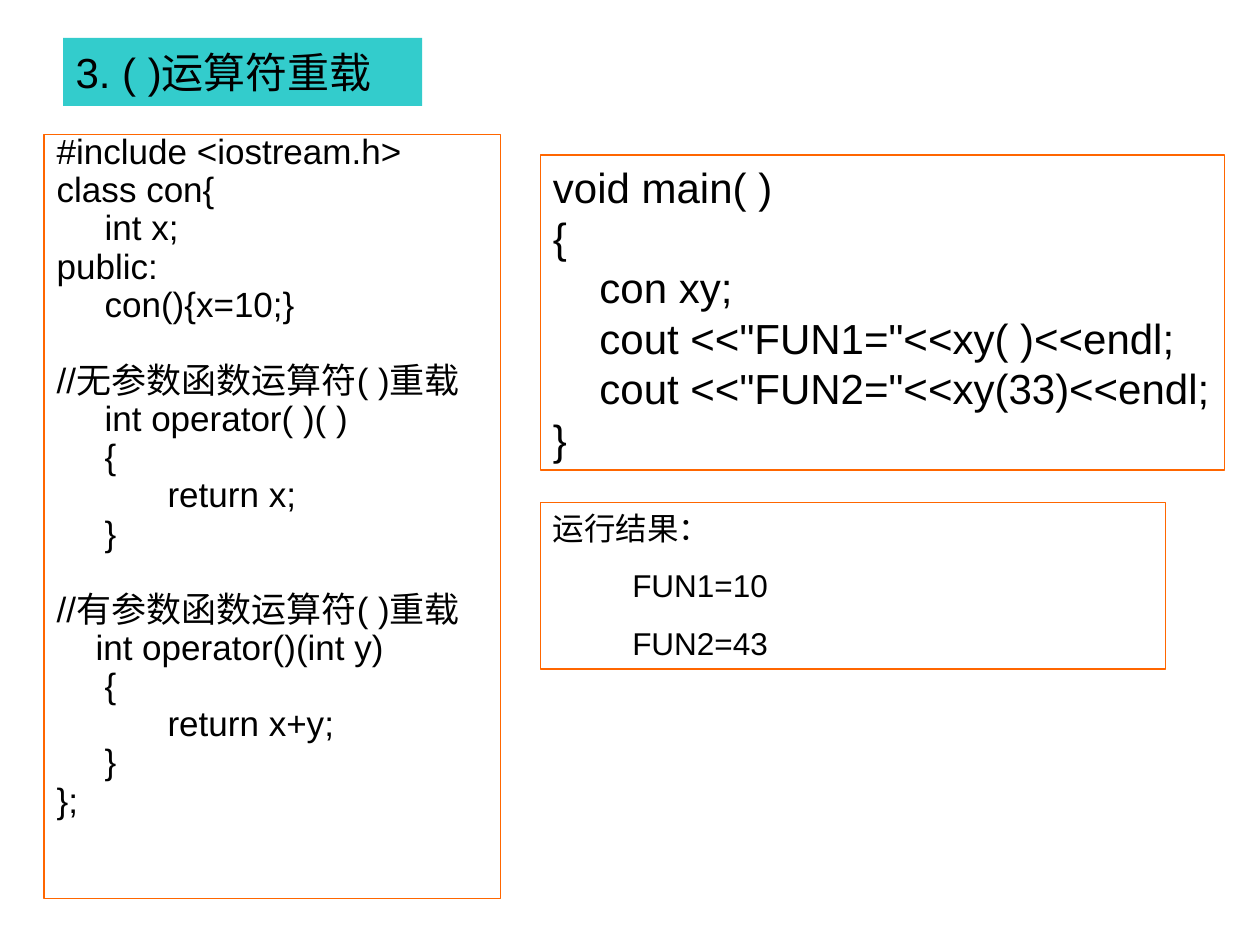
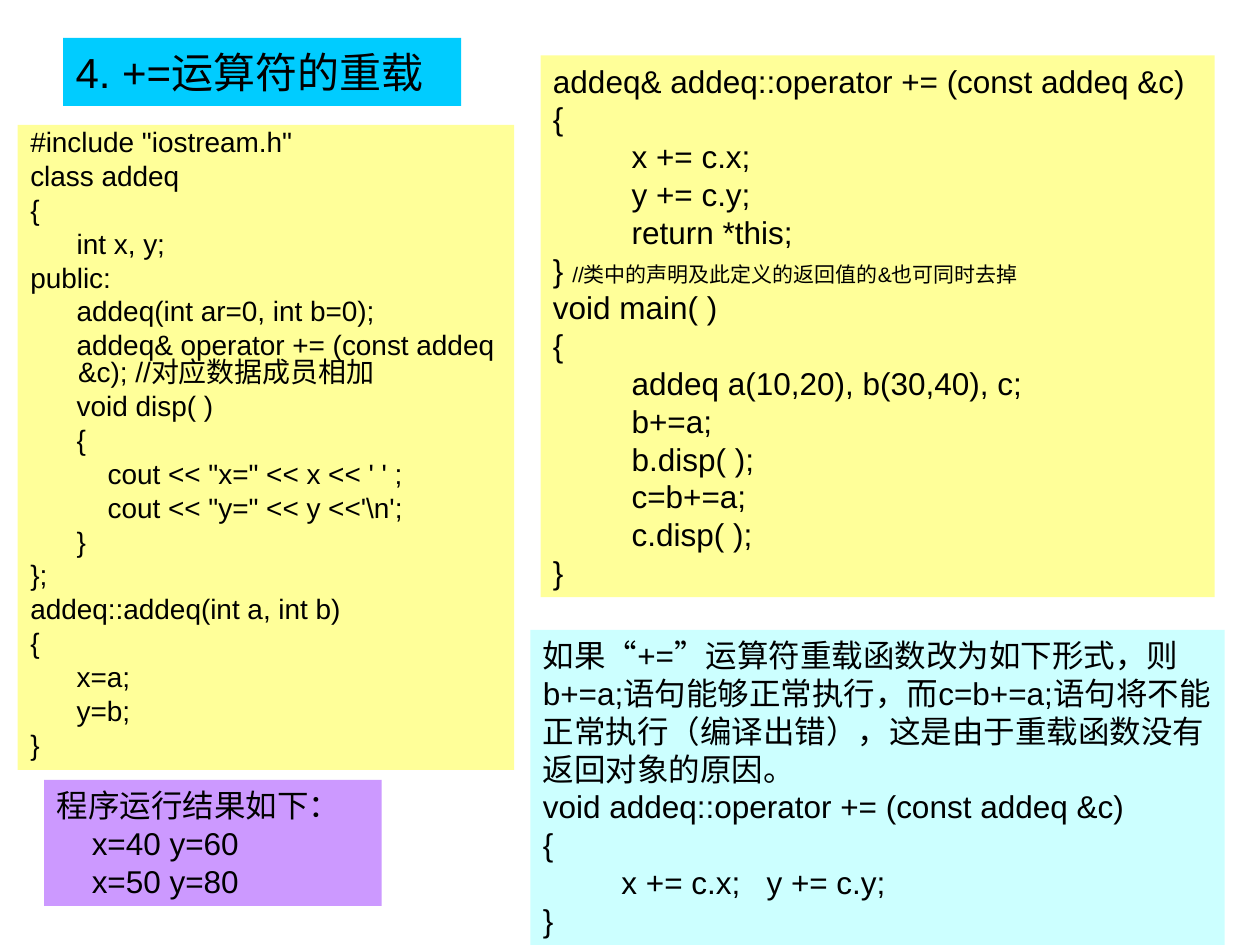
from lxml import etree
from pptx import Presentation, util as u
from pptx.dml.color import RGBColor
from pptx.enum import shapes, text
from pptx.oxml import ns

HUES = {"ink": "000000", "edge": "FF6600", "teal": "33CCCC", "blue": "00CCFF",
        "cream": "FFFF99", "mauve": "CC99FF", "ice": "CCFFFF"}
FONT = "Arial"

CON = """#include <iostream.h>
class con{
\tint x;
public:
\tcon(){x=10;}

//无参数函数运算符( )重载
\tint operator( )( )
\t{
\t\treturn x;
\t}

//有参数函数运算符( )重载
    int operator()(int y)
\t{
\t\treturn x+y;
\t}
};"""

CALL = """void main( )
{
    con xy;
    cout <<"FUN1="<<xy( )<<endl;
    cout <<"FUN2="<<xy(33)<<endl;
}"""

ADDEQ = """#include "iostream.h"
class addeq
{
      int x, y;
public:
      addeq(int ar=0, int b=0);
      addeq& operator += (const addeq &c); //对应数据成员相加
      void disp( )
      {
          cout << "x=" << x << ' ' ;
          cout << "y=" << y <<'\\n';
      }
};
addeq::addeq(int a, int b)
{
      x=a;
      y=b;
}"""

MAIN = """addeq& addeq::operator += (const addeq &c)
{
         x += c.x;
         y += c.y;
         return *this;
} //类中的声明及此定义的返回值的&也可同时去掉
void main( )
{
         addeq a(10,20), b(30,40), c;
         b+=a;
         b.disp( );
         c=b+=a;
         c.disp( );
}"""

VOID = """如果“+=”运算符重载函数改为如下形式，则b+=a;语句能够正常执行，而c=b+=a;语句将不能正常执行（编译出错），这是由于重载函数没有返回对象的原因。
void addeq::operator += (const addeq &c)
{
         x += c.x;   y += c.y;
}"""


def write(frame, words, size=18, note=None, lead=1, above=0, hang=0, dent=0):
    """Fill a text frame line by line; an empty line widens the next gap."""
    gap, fresh = 0, True
    for line in words.split("\n"):
        if not line:
            gap = size * 1.2 * lead + above
            continue
        para = frame.paragraphs[0] if fresh else frame.add_paragraph()
        prop = para._p.get_or_add_pPr()
        left = hang if fresh or not dent else dent
        prop.set("marL", str(u.Inches(left)))
        prop.set("indent", str(-u.Inches(hang)))
        etree.SubElement(prop, ns.qn("a:buNone"))
        tabs = etree.SubElement(prop, ns.qn("a:tabLst"))
        for inch in range(8):
            etree.SubElement(tabs, ns.qn("a:tab"), pos=str(u.Inches(inch)), algn="l")
        para.alignment = text.PP_ALIGN.LEFT
        para.line_spacing = float(lead)
        para.space_before = u.Pt(0 if fresh else above + gap)
        para.space_after = u.Pt(0)
        head, mark, tail = line.partition("//") if note else (line, "", "")
        for part, points in ((head, size), (mark + tail, note)):
            if part:
                run = para.add_run()
                run.text = part
                run.font.size = u.Pt(points)
                run.font.name = FONT
                run.font.color.rgb = RGBColor.from_string(HUES["ink"])
        gap, fresh = 0, False


class Deck:
    """Holds the file, its style and the current slide."""

    def __init__(self):
        """Start an empty file of 10 by 7.5 inches."""
        self.file = Presentation()
        self.file.slide_width, self.file.slide_height = u.Inches(10), u.Inches(7.5)

    def page(self, title, wide, hue):
        """Add a slide with its title band."""
        self.slide = self.file.slides.add_slide(self.file.slide_layouts[1])
        band = self.slide.shapes.title
        self.style(band, (0.5, 0.3, wide, 0.54), fill=hue)
        band.text_frame.vertical_anchor = text.MSO_ANCHOR.MIDDLE
        write(band.text_frame, title, size=24)

    def style(self, shape, place, fill=None, line=None):
        """Place a shape and set its fill, line and text frame."""
        shape.left, shape.top, shape.width, shape.height = map(u.Inches, place)
        if fill:
            shape.fill.solid()
            shape.fill.fore_color.rgb = RGBColor.from_string(HUES[fill])
        else:
            shape.fill.background()
        if line:
            shape.line.color.rgb = RGBColor.from_string(HUES[line])
            shape.line.width = u.Pt(0.75)
        else:
            shape.line.fill.background()
        frame = shape.text_frame
        frame.word_wrap = True
        frame.auto_size = text.MSO_AUTO_SIZE.NONE
        frame.vertical_anchor = text.MSO_ANCHOR.TOP
        frame.margin_left = frame.margin_right = u.Inches(0.1)
        frame.margin_top = frame.margin_bottom = u.Inches(0.05)

    def body(self, words, place, fill=None, line=None, **form):
        """Put the class listing in the body placeholder."""
        shape = self.slide.placeholders[1]
        self.style(shape, place, fill, line)
        write(shape.text_frame, words, hang=0.38, **form)

    def box(self, words, place, fill=None, line=None, **form):
        """Add a box that grows with its text."""
        shape = self.slide.shapes.add_shape(
            shapes.MSO_SHAPE.RECTANGLE, *map(u.Inches, place))
        shape.shadow.inherit = False
        self.style(shape, place, fill, line)
        shape.text_frame.auto_size = text.MSO_AUTO_SIZE.SHAPE_TO_FIT_TEXT
        write(shape.text_frame, words, **form)


def main():
    """Build both slides and save the file."""
    deck = Deck()
    deck.page("3. ( )运算符重载", 2.85, "teal")
    deck.body(CON, (0.35, 1.07, 3.62, 6.06), line="edge", size=20, lead=0.7, above=5)
    deck.box(CALL, (4.29, 1.23, 5.43, 2.5), line="edge", size=24)
    deck.box("运行结果：\nFUN1=10\nFUN2=43", (4.29, 3.99, 4.96, 1.32),
             line="edge", above=11.2, dent=0.63)

    deck.page("4. +=运算符的重载", 3.16, "blue")
    deck.body(ADDEQ, (0.14, 0.99, 3.94, 5.12), fill="cream", size=16, lead=0.8, above=4)
    deck.box(MAIN, (4.29, 0.44, 5.35, 4.3), fill="cream", note=12)
    deck.box("程序运行结果如下：\nx=40 y=60\nx=50 y=80", (0.35, 6.19, 2.68, 1),
             fill="mauve", dent=0.28)
    deck.box(VOID, (4.21, 5, 5.51, 2.5), fill="ice")
    deck.file.save("out.pptx")


if __name__ == "__main__":
    main()
